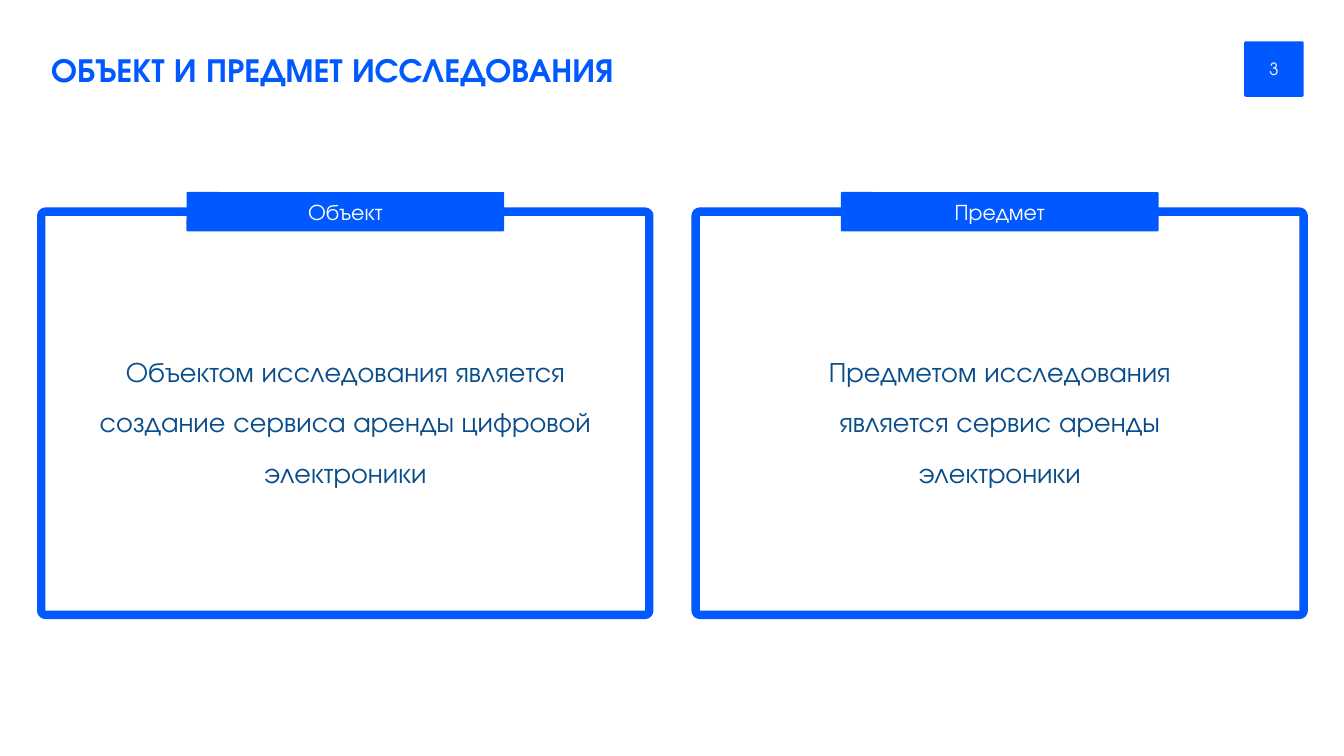
from pptx import Presentation
from pptx.dml.color import RGBColor
from pptx.enum import shapes, text
from pptx.util import Inches, Pt

FONT = "TeX Gyre Adventor"
COLORS = {"blue": "0059FF", "navy": "084C89", "white": "FFFFFF"}


def color(name):
    return RGBColor.from_string(COLORS[name])


def write(sp, words, size, tint, align=text.PP_ALIGN.CENTER, bold=False):
    """Put one vertically centred paragraph in a shape and return it."""
    tf = sp.text_frame
    tf.word_wrap = True
    tf.vertical_anchor = text.MSO_ANCHOR.MIDDLE
    p = tf.paragraphs[0]
    p.alignment = align
    r = p.add_run()
    r.text = words
    r.font.name = FONT
    r.font.size = Pt(size)
    r.font.bold = bold
    r.font.color.rgb = color(tint)
    return p


def add_text(s, box, *args, **kwargs):
    return write(s.shapes.add_textbox(*map(Inches, box)), *args, **kwargs)


def add_rounded(s, box, radius):
    sp = s.shapes.add_shape(shapes.MSO_SHAPE.ROUNDED_RECTANGLE, *map(Inches, box))
    sp.adjustments[0] = radius
    sp.shadow.inherit = False
    return sp


def add_label(s, box, words, size):
    """Add a solid blue block with white text."""
    sp = add_rounded(s, box, 0.03)
    sp.fill.solid()
    sp.fill.fore_color.rgb = color("blue")
    sp.line.fill.background()
    write(sp, words, size, "white")


def add_header(s, box, title, number):
    left, top, width, height = box
    badge_width = 0.59
    add_text(s, (left, top, 7.24, height), title, 24, "blue",
             align=text.PP_ALIGN.LEFT, bold=True)
    add_label(s, (left + width - badge_width, top, badge_width, height), number, 12)


def add_panel(s, box, heading, body, body_width):
    """Add a framed panel with a heading tab across its top edge."""
    left, top, width, height = box
    frame = add_rounded(s, box, 0.01)
    frame.fill.background()
    frame.line.color.rgb = color("blue")
    frame.line.width = Pt(6)

    center = left + width / 2
    p = add_text(s, (center - body_width / 2, top, body_width, height),
                 body, 20, "navy")
    p.line_spacing = 1.5
    p.space_after = Pt(8)

    tab_width, tab_height = 3.15, 0.39
    add_label(s, (center - tab_width / 2, top - tab_height / 2, tab_width, tab_height),
              heading, 16)


def main():
    prs = Presentation()
    prs.slide_width, prs.slide_height = Inches(13.33), Inches(7.5)
    s = prs.slides.add_slide(prs.slide_layouts[6])

    margin, panel_width = 0.41, 6.03
    content_width = 12.52
    add_header(s, (margin, 0.41, content_width, 0.55),
               "ОБЪЕКТ И ПРЕДМЕТ ИССЛЕДОВАНИЯ", "3")

    panels = [
        ("Объект", "Объектом исследования является создание сервиса "
                   "аренды цифровой электроники", 5.63),
        ("Предмет", "Предметом исследования является сервис аренды "
                    "электроники", 4.3),
    ]
    step = content_width - panel_width
    for i, (heading, body, body_width) in enumerate(panels):
        add_panel(s, (margin + i * step, 2.1, panel_width, 4),
                  heading, body, body_width)

    prs.save("out.pptx")


if __name__ == "__main__":
    main()
